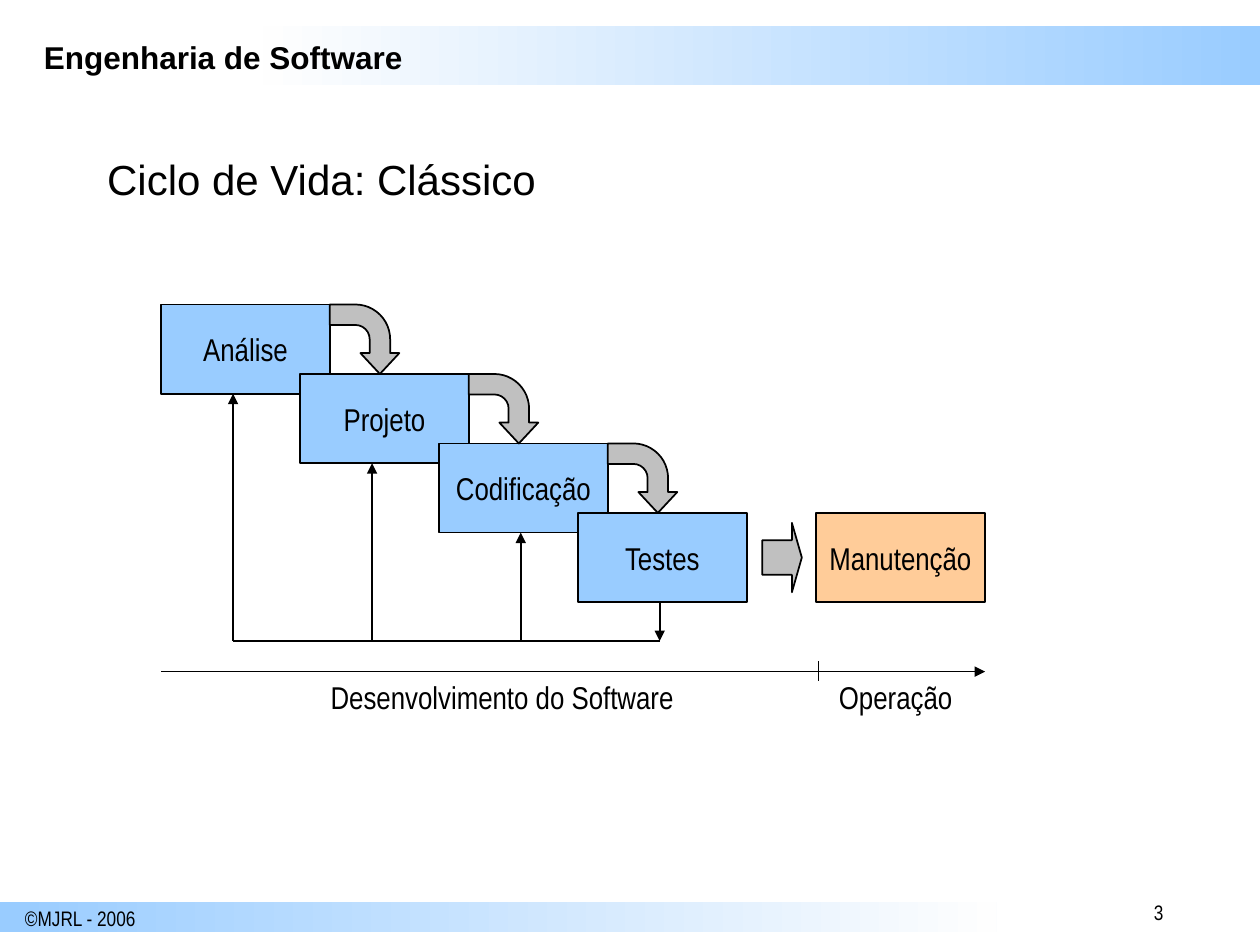
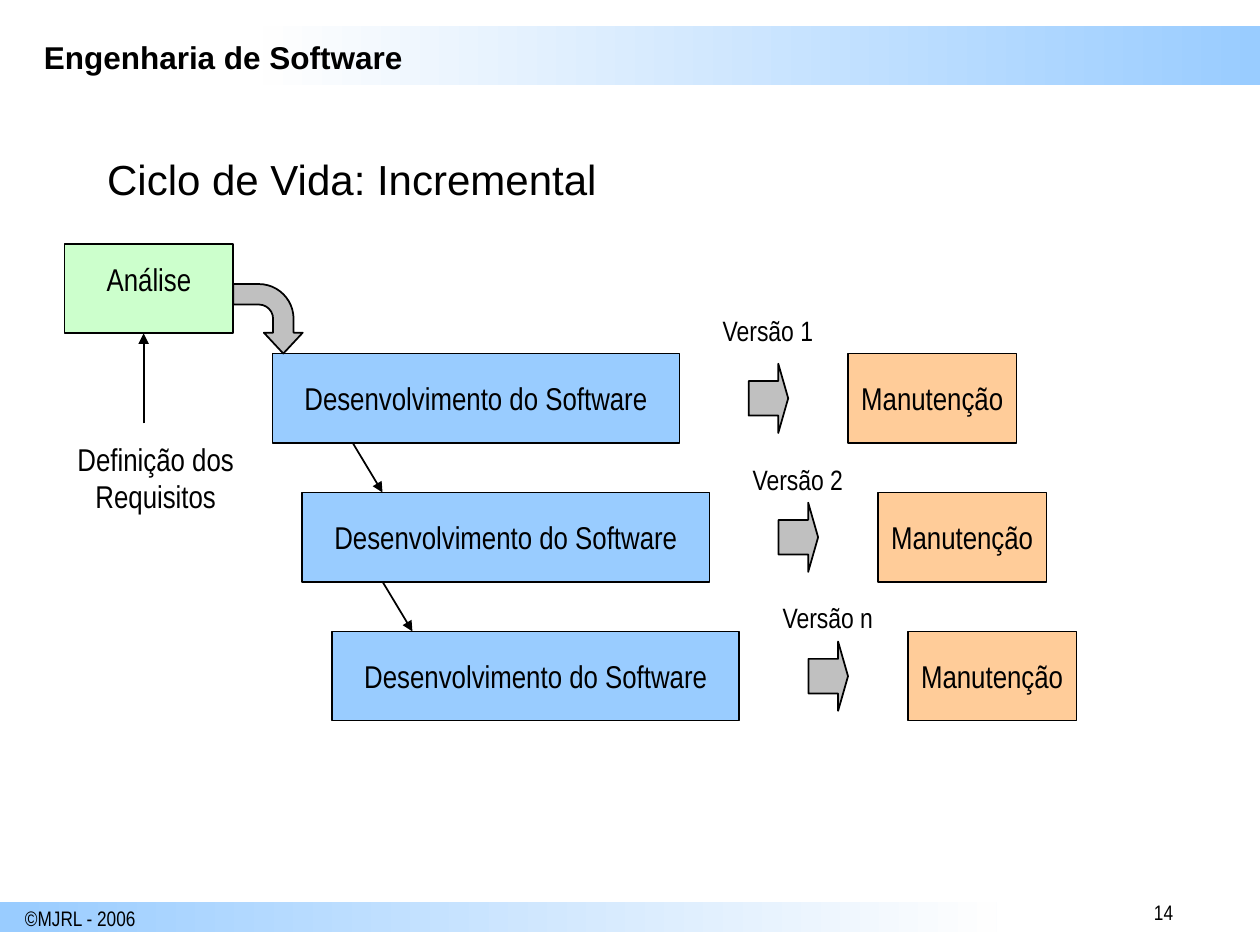
"""Builds two software engineering slides on the classic and incremental life cycles."""
import pptx
import pptx.dml.color
import pptx.enum.shapes
import pptx.enum.text
import pptx.oxml
import pptx.oxml.ns
import pptx.util

Pt = pptx.util.Pt
MSO = pptx.enum.shapes.MSO_SHAPE
ALIGN = pptx.enum.text.PP_ALIGN
ANCHOR = pptx.enum.text.MSO_ANCHOR
BLACK, WHITE, GRAY = "000000", "FEFEFE", "C0C0C0"
BLUE, ORANGE, GREEN = "99CCFF", "FFCC99", "CCFFCC"
BOX_W, BOX_H = 96.4, 51
WIDE_W = 232.6
BEND = 39.7
ARROW_W, ARROW_H = 22.6, 39.6


def paint(color, value):
    color.rgb = pptx.dml.color.RGBColor.from_string(value)


def write(tf, text, size=18, font="Arial Narrow", bold=False, align=ALIGN.CENTER,
          anchor=ANCHOR.TOP, wrap=False):
    tf.text = text
    tf.word_wrap = wrap
    tf.auto_size = pptx.enum.text.MSO_AUTO_SIZE.NONE
    tf.vertical_anchor = anchor
    for p in tf.paragraphs:
        p.alignment = align
        p.font.size, p.font.name, p.font.bold = Pt(size), font, bold
        paint(p.font.color, BLACK)


prs = pptx.Presentation()
prs.slide_width, prs.slide_height = Pt(720), Pt(540)
layout = prs.slide_layouts[5]
for ph in list(layout.placeholders)[1:]:
    ph.element.getparent().remove(ph.element)
title = layout.placeholders[0]
title.left, title.top, title.width, title.height = Pt(54), Pt(84.2), Pt(612), Pt(54)

classic = prs.slides.add_slide(layout)
incremental = prs.slides.add_slide(layout)

# Bands and running texts are shared through the layout
bands = [(150.5, 15.1, 569.5, 33.6, WHITE, BLUE), (0, 515.5, 569.5, 17.3, BLUE, WHITE)]
for x, y, w, h, start, end in bands:
    sp = classic.shapes.add_shape(MSO.RECTANGLE, Pt(x), Pt(y), Pt(w), Pt(h))
    sp.shadow.inherit = False
    sp.line.fill.background()
    sp.fill.gradient()
    sp.fill.gradient_angle = 0
    for stop, value in zip(sp.fill.gradient_stops, (start, end)):
        paint(stop.color, value)
    layout.shapes.element.append(sp.element)

headings = [
    (18, 18, 348, 29, "Engenharia de Software", dict(font="Arial", bold=True)),
    (7.2, 514.1, 78, 21.6, "©MJRL - 2006", dict(size=12)),
]
for x, y, w, h, text, fmt in headings:
    sp = classic.shapes.add_textbox(Pt(x), Pt(y), Pt(w), Pt(h))
    write(sp.text_frame, text, align=ALIGN.LEFT, **fmt)
    layout.shapes.element.append(sp.element)

for s, text, number in [(classic, "Ciclo de Vida: Clássico", "3"),
                        (incremental, "Ciclo de Vida: Incremental", "14")]:
    write(s.shapes.title.text_frame, text, size=24, font="Arial", align=ALIGN.LEFT, wrap=True)
    sp = s.shapes.add_textbox(Pt(652.3), Pt(510.5), Pt(59), Pt(21.6))
    write(sp.text_frame, number, size=12, align=ALIGN.LEFT)

# Each diagram is a set of boxes, bends, block arrows, labels and lines
STEP_X, STEP_Y = 79.4, 39.7
boxes, bends, arrows, labels = [], [], [], []
for i, phase in enumerate(["Análise", "Projeto", "Codificação", "Testes"]):
    x, y = 92.1 + i * STEP_X, 174 + i * STEP_Y
    boxes.append((classic, x, y, BOX_W, phase, BLUE))
    if phase != "Testes":
        bends.append((classic, x + BOX_W, y))
boxes.append((classic, 466.3, 293.1, BOX_W, "Manutenção", ORANGE))
arrows.append((classic, 435.6, 298.8))
labels += [
    (classic, 182, 383.8, 210, 29, "Desenvolvimento do Software", 18),
    (classic, 472.2, 383.8, 79.2, 29, "Operação", 18),
]
FEEDBACK_Y, AXIS_Y = 366.3, 383.8
lines = [
    (classic, 92.1, AXIS_Y, 562.9, AXIS_Y, True),
    (classic, 467.8, 377.8, 467.8, 389, False),
    (classic, 377, 344, 377, FEEDBACK_Y, True),
    (classic, 377, FEEDBACK_Y, 133.2, FEEDBACK_Y, False),
]
for i, x in enumerate([133.2, 212.6, 297.6]):
    lines.append((classic, x, FEEDBACK_Y, x, 225 + i * STEP_Y, True))

ROW_X, ROW_Y = 17.1, 79.4
boxes.append((incremental, 36.9, 139.5, BOX_W, "Análise", GREEN))
bends.append((incremental, 133.3, 162.3))
labels.append((incremental, 37.2, 247.7, 103.6, 50.4, "Definição dos\nRequisitos", 18))
lines.append((incremental, 82.1, 241.9, 82.1, 190.5, True))
for i, (version, label_y) in enumerate([("1", 175.7), ("2", 260.6), ("n", 339.8)]):
    x, y = 155.7 + i * ROW_X, 202 + i * ROW_Y
    boxes.append((incremental, x, y, WIDE_W, "Desenvolvimento do Software", BLUE))
    boxes.append((incremental, x + 328.8, y, BOX_W, "Manutenção", ORANGE))
    arrows.append((incremental, x + 272.1, y + 5.8))
    labels.append((incremental, x + 249.5, label_y, 67.2, 26.6, f"Versão {version}", 16))
    if version != "n":
        lines.append((incremental, x + 45.8, y + BOX_H, x + 45.8 + ROW_X, y + ROW_Y, True))

for s, x, y, w, text, fill in boxes:
    sp = s.shapes.add_shape(MSO.RECTANGLE, Pt(x), Pt(y), Pt(w), Pt(BOX_H))
    sp.shadow.inherit = False
    sp.fill.solid()
    paint(sp.fill.fore_color, fill)
    paint(sp.line.color, BLACK)
    sp.line.width = Pt(1)
    write(sp.text_frame, text, anchor=ANCHOR.MIDDLE)
    if fill == GREEN:
        sp.text_frame.margin_bottom = Pt(14.4)

blocks = [(s, MSO.BENT_ARROW, x, y, BEND, BEND, 90, (0.295, 0.28, 0.3, 0.5))
          for s, x, y in bends]
blocks += [(s, MSO.RIGHT_ARROW, x, y, ARROW_W, ARROW_H, 0, (0.5, 0.25))
           for s, x, y in arrows]
for s, kind, x, y, w, h, rotation, adjustments in blocks:
    sp = s.shapes.add_shape(kind, Pt(x), Pt(y), Pt(w), Pt(h))
    sp.rotation = rotation
    for i, value in enumerate(adjustments):
        sp.adjustments[i] = value
    sp.shadow.inherit = False
    sp.fill.solid()
    paint(sp.fill.fore_color, GRAY)
    paint(sp.line.color, BLACK)
    sp.line.width = Pt(1)

for s, x, y, w, h, text, size in labels:
    sp = s.shapes.add_textbox(Pt(x), Pt(y), Pt(w), Pt(h))
    write(sp.text_frame, text, size=size)

for s, x1, y1, x2, y2, has_head in lines:
    sp = s.shapes.add_connector(pptx.enum.shapes.MSO_CONNECTOR.STRAIGHT,
                                Pt(x1), Pt(y1), Pt(x2), Pt(y2))
    paint(sp.line.color, BLACK)
    sp.line.width = Pt(1)
    if has_head:
        ns = pptx.oxml.ns.nsdecls("a")
        sp.line._get_or_add_ln().append(pptx.oxml.parse_xml(f'<a:tailEnd {ns} type="triangle"/>'))
    sp.element.spPr.append(pptx.oxml.parse_xml(f'<a:effectLst {pptx.oxml.ns.nsdecls("a")}/>'))

prs.save("out.pptx")
